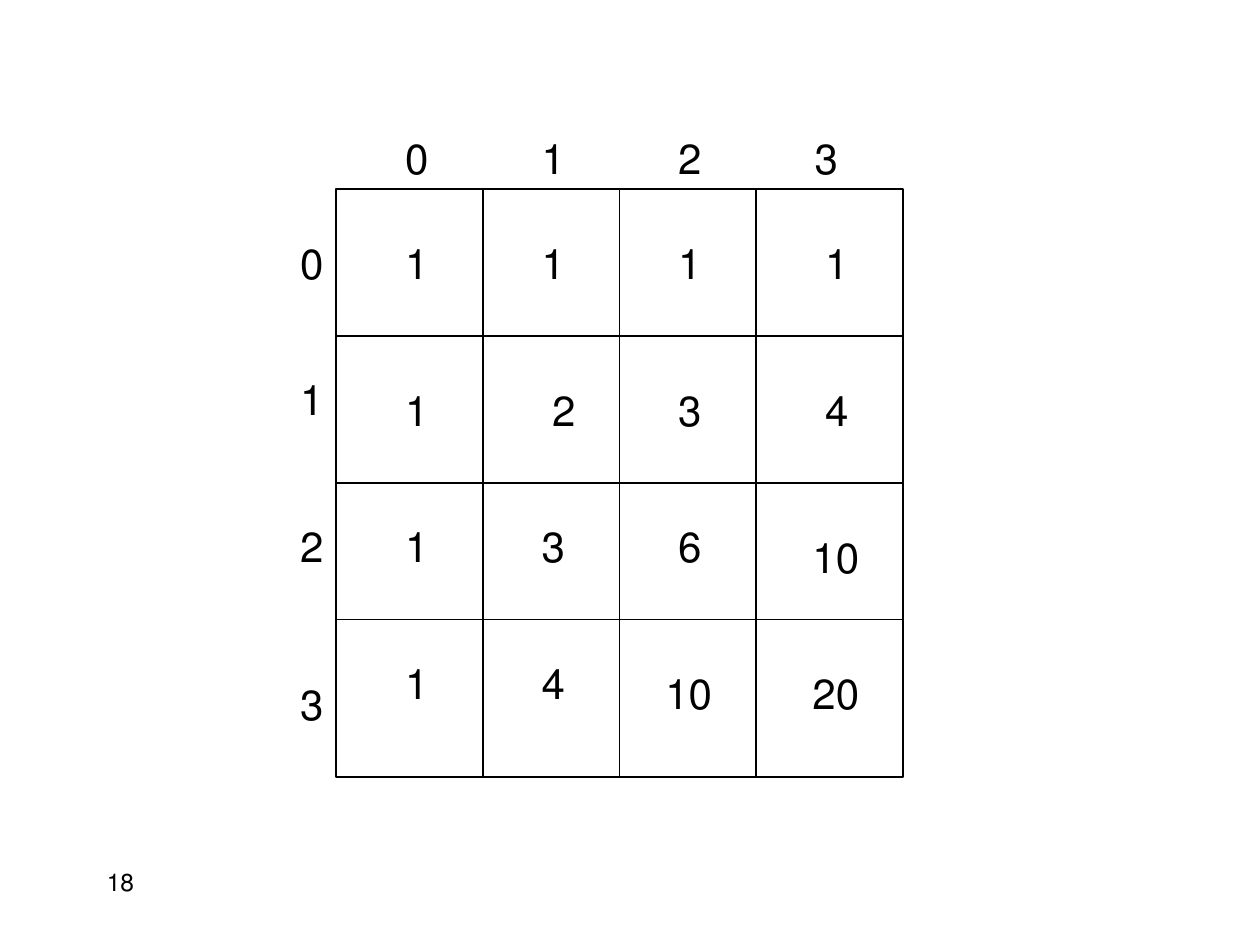
import math
from typing import Any, NamedTuple

import pptx
import pptx.dml.color
import pptx.enum.shapes
import pptx.enum.text
import pptx.util
from pptx.oxml.xmlchemy import OxmlElement

COLORS = {"ink": "000000", "paper": "FFFFFF"}
FONT = "Times New Roman"
SLIDE_COLUMNS, SLIDE_ROWS = 120, 90  # grid modules across and down the slide
MODULE = pptx.util.Inches(10) / SLIDE_COLUMNS

COLUMN_EDGES = (32, 46, 59, 72, 86)
ROW_EDGES = (18, 32, 46, 59, 74)
COLUMN_LABEL_TOP, ROW_LABEL_LEFT = 12, 27
ROW_LABEL_TOPS = (22, 35, 49, 64)
VALUE_LEFTS = (37, 50, 63, 77)
VALUE_TOPS = (22, 36, 49, 62)


class Area(NamedTuple):
    """A rectangle in grid modules."""
    left: int
    top: int
    width: int = 5
    height: int = 6

    def emu(self) -> list[int]:
        """Return the four lengths in EMU."""
        return [round(length * MODULE) for length in self]


class Number(NamedTuple):
    """A number and the area it is written in."""
    text: str
    area: Area


# Small departures from the regular places, by (row, column)
NUDGES = {(1, 1): Area(1, 0, 0, 0), (2, 3): Area(-1, 0, 1, 0)}


def rgb(name: str) -> pptx.dml.color.RGBColor:
    """Look up a colour by name."""
    return pptx.dml.color.RGBColor.from_string(COLORS[name])


def path_number(row: int, column: int) -> Number:
    """Count the paths to a cell and place the result in it."""
    text = str(math.comb(row + column, row))
    extra = len(text) - 1
    nudge = NUDGES.get((row, column), Area(0, 0, 0, 0))
    return Number(text, Area(VALUE_LEFTS[column] - extra + nudge.left,
                             VALUE_TOPS[row] + extra,
                             5 + 2 * extra + nudge.width))


def add_number(shapes: Any, number: Number, size: int = 24,
               right: bool = True, filled: bool = False) -> None:
    """Write a number in a text box, on white if filled."""
    box = shapes.add_textbox(*number.area.emu())
    if filled:
        box.fill.solid()
        box.fill.fore_color.rgb = rgb("paper")
    frame = box.text_frame
    frame.word_wrap = True
    paragraph = frame.paragraphs[0]
    paragraph.text = number.text
    align = pptx.enum.text.PP_ALIGN
    paragraph.alignment = align.RIGHT if right else align.LEFT
    paragraph._p.get_or_add_pPr().set("rtl", "1")
    paragraph.font.name = FONT
    paragraph.font.size = pptx.util.Pt(size)
    paragraph.font.color.rgb = rgb("ink")


def style_line(line: Any) -> None:
    """Make a line thin and black."""
    line.color.rgb = rgb("ink")
    line.width = pptx.util.Pt(0.75)


def add_rule(shapes: Any, *ends: int) -> None:
    """Draw a straight rule from x, y to x, y in grid modules."""
    rule = shapes.add_connector(pptx.enum.shapes.MSO_CONNECTOR.STRAIGHT,
                                *(round(end * MODULE) for end in ends))
    style_line(rule.line)
    rule._element.spPr.append(OxmlElement("a:effectLst"))


def add_grid(shapes: Any) -> None:
    """Draw the frame, the inner rules and the index labels."""
    left, *inner_columns, right = COLUMN_EDGES
    top, *inner_rows, bottom = ROW_EDGES
    frame = shapes.add_shape(pptx.enum.shapes.MSO_SHAPE.RECTANGLE,
                             *Area(left, top, right - left, bottom - top).emu())
    frame.shadow.inherit = False
    frame.fill.solid()
    frame.fill.fore_color.rgb = rgb("paper")
    style_line(frame.line)
    for x in inner_columns:
        add_rule(shapes, x, top, x, bottom)
    for y in inner_rows:
        add_rule(shapes, left, y, right, y)
    for index, label_top in enumerate(ROW_LABEL_TOPS):
        add_number(shapes, Number(str(index), Area(37 + 13 * index, COLUMN_LABEL_TOP)))
        add_number(shapes, Number(str(index), Area(ROW_LABEL_LEFT, label_top)))


def main() -> None:
    """Build and save the slide."""
    deck = pptx.Presentation()
    deck.slide_width = round(SLIDE_COLUMNS * MODULE)
    deck.slide_height = round(SLIDE_ROWS * MODULE)
    slide = deck.slides.add_slide(deck.slide_layouts[6])
    add_number(slide.shapes, Number("18", Area(9, 82, 25)), size=14, right=False)
    add_grid(slide.shapes.add_group_shape().shapes)
    for row in range(len(VALUE_TOPS)):
        for column in range(len(VALUE_LEFTS)):
            add_number(slide.shapes, path_number(row, column), filled=True)
    deck.save("out.pptx")


main()
